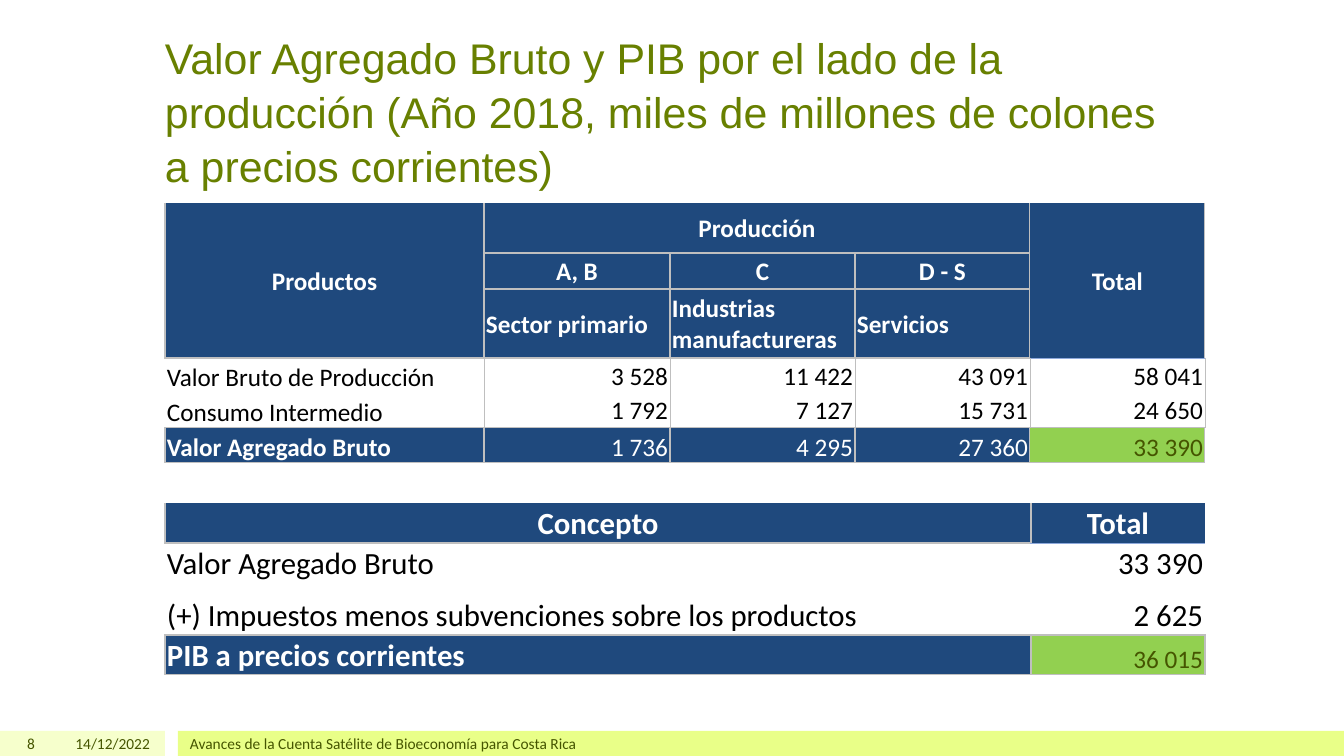
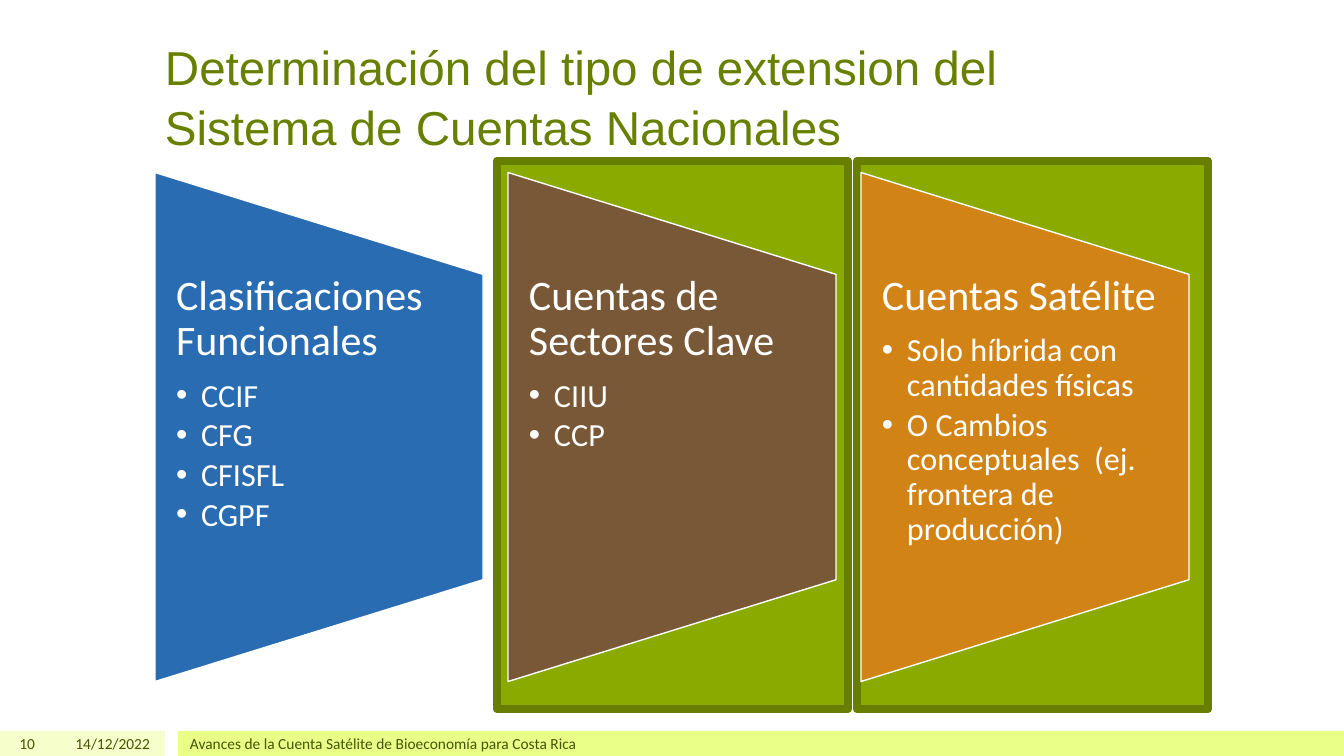
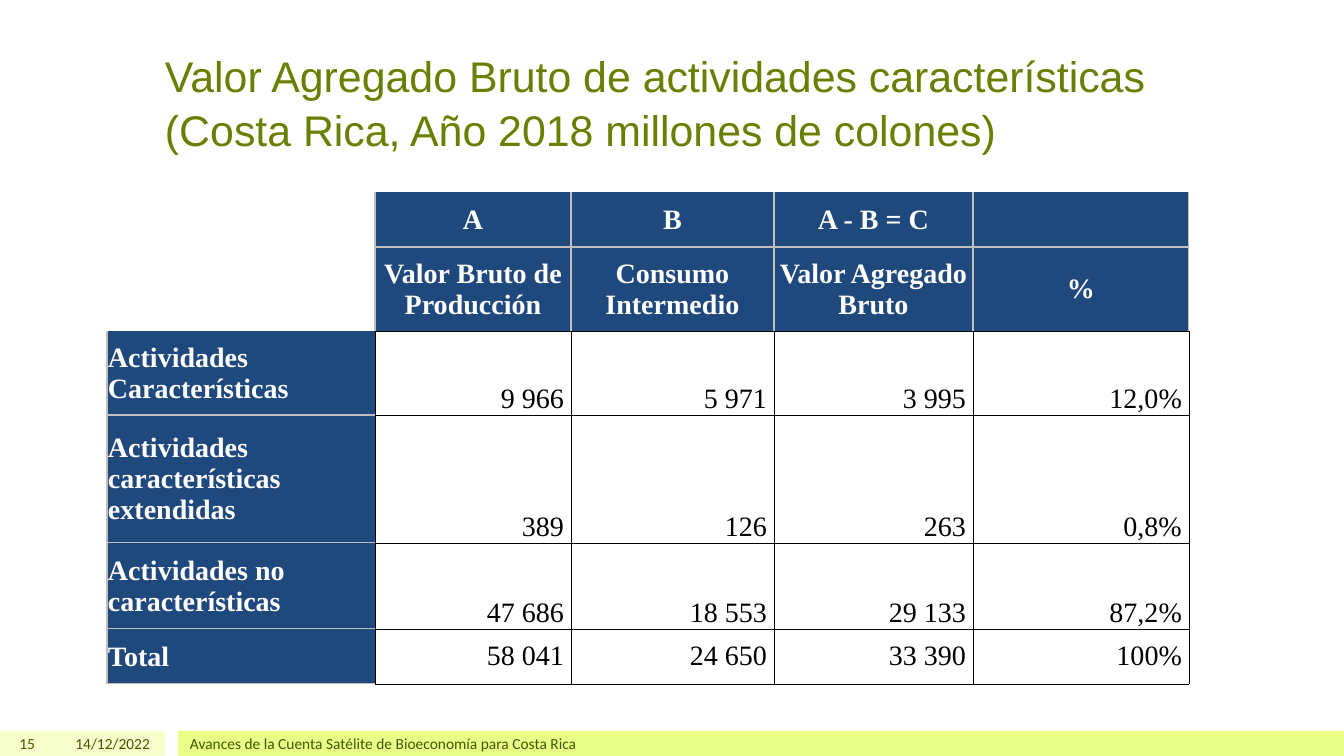
import lxml.etree
import pptx
import pptx.dml.color
import pptx.enum.shapes
import pptx.enum.text
import pptx.oxml.ns
import pptx.util

SLIDE_WIDTH, SLIDE_HEIGHT = 1344, 756
EMU_PER_PX = 12192000 / SLIDE_WIDTH
BLANK_LAYOUT = 6
PLAIN_TABLE = "{2D5ABB26-0587-4C30-8999-92F81FD0307C}"

NAVY, LIME, WHITE, BLACK = "1F497D", "92D050", "FFFFFF", "000000"
OLIVE, MOSS = "688000", "455500"
PALE_BAND, BRIGHT_BAND = "F6FFCC", "E9FF88"
FRAME_FILL, FRAME_LINE = "8BAA00", "677E00"

ALIGN = pptx.enum.text.PP_ALIGN
ANCHOR = pptx.enum.text.MSO_ANCHOR
SHAPE = pptx.enum.shapes.MSO_SHAPE

GREY_RULE, GREY_HAIR = ("BFBFBF", 1), ("BFBFBF", 0.5)
BLUE_HAIR, BLACK_HAIR = ("8EA9DB", 0.5), (BLACK, 0.5)


def rules(sides, rule):
    return dict.fromkeys(sides, rule)


CELL = {"fill": None, "color": BLACK, "bold": False, "align": ALIGN.LEFT,
        "anchor": ANCHOR.BOTTOM, "inset": (2, 2, 2, 0), "borders": {}}
HEAD = CELL | {"fill": NAVY, "color": WHITE, "bold": True, "align": ALIGN.CENTER,
               "anchor": ANCHOR.MIDDLE, "borders": rules("LRTB", GREY_RULE)}
HEAD_TOP = HEAD | {"borders": rules("LRB", GREY_RULE)}
HEAD_TOTAL = HEAD | {"borders": {"L": GREY_RULE, "B": BLUE_HAIR}}
HEAD_LEFT = HEAD | {"align": ALIGN.LEFT}
LABEL = CELL | {"borders": rules("R", GREY_HAIR)}
AMOUNT = CELL | {"fill": WHITE, "align": ALIGN.RIGHT, "anchor": ANCHOR.MIDDLE,
                 "borders": rules("LR", GREY_HAIR)}
OPEN_AMOUNT = CELL | {"align": ALIGN.RIGHT}
SUM_LABEL = HEAD_LEFT | {"anchor": ANCHOR.BOTTOM}
SUM_AMOUNT = SUM_LABEL | {"bold": False, "align": ALIGN.RIGHT}
RESULT = SUM_AMOUNT | {"fill": LIME, "color": MOSS}

CORNER = CELL | {"borders": rules("R", GREY_RULE)}
COLUMN_CODE = HEAD_TOP | {"inset": (1, 1, 1, 0)}
COLUMN_NAME = COLUMN_CODE | {"borders": rules("LRT", GREY_RULE) | {"B": BLACK_HAIR}}
ACTIVITY = COLUMN_CODE | {"align": ALIGN.LEFT,
                          "borders": rules("LTB", GREY_RULE) | {"R": BLACK_HAIR}}
FIRST_ACTIVITY = ACTIVITY | {"borders": rules("LB", GREY_RULE) | {"R": BLACK_HAIR}}
FIGURE = OPEN_AMOUNT | {"inset": (7, 0, 7, 0), "borders": rules("LRTB", BLACK_HAIR)}
TOTAL_FIGURE = FIGURE | {"anchor": ANCHOR.MIDDLE}


def px(length):
    return pptx.util.Emu(round(length * EMU_PER_PX))


def rgb(color):
    return pptx.dml.color.RGBColor.from_string(color)


def assign(target, values):
    for attribute, value in values.items():
        setattr(target, attribute, value)


def set_insets(target, inset):
    sides = ("margin_left", "margin_top", "margin_right", "margin_bottom")
    assign(target, dict(zip(sides, map(px, inset))))


def write(paragraph, text, size, color, font="Calibri", bold=False, **layout):
    run = paragraph.add_run()
    run.text = text
    assign(run.font, {"size": pptx.util.Pt(size), "name": font, "bold": bold})
    run.font.color.rgb = rgb(color)
    assign(paragraph, layout)


def add_block(slide, kind, box, fill, line=None, line_width=1, rotation=0):
    block = slide.shapes.add_shape(kind, *map(px, box))
    block.shadow.inherit = False
    block.rotation = rotation
    block.fill.solid()
    block.fill.fore_color.rgb = rgb(fill)
    if line:
        block.line.color.rgb = rgb(line)
        block.line.width = pptx.util.Pt(line_width)
    else:
        block.line.fill.background()


def add_text_frame(slide, box, anchor, inset=(10, 5, 10, 5)):
    frame = slide.shapes.add_textbox(*map(px, box)).text_frame
    assign(frame, {"word_wrap": True, "vertical_anchor": anchor})
    set_insets(frame, inset)
    return frame


def add_title(slide, text, size, top=30):
    frame = add_text_frame(slide, (155, top, 1033, 130), ANCHOR.BOTTOM)
    write(frame.paragraphs[0], text, size, OLIVE, font="Arial", line_spacing=1.05)


def add_footer(slide, number):
    top, height = 731, 25
    for left, width, color in ((0, 165, PALE_BAND), (178, 1166, BRIGHT_BAND)):
        add_block(slide, SHAPE.RECTANGLE, (left, top, width, height), color)
    entries = (
        (0, 45, str(number), ALIGN.RIGHT),
        (50, 110, "14/12/2022", ALIGN.RIGHT),
        (180, 1008, "Avances de la Cuenta Satélite de Bioeconomía para Costa Rica", ALIGN.LEFT),
    )
    for left, width, text, align in entries:
        frame = add_text_frame(slide, (left, top, width, height), ANCHOR.MIDDLE)
        write(frame.paragraphs[0], text, 11, MOSS, alignment=align)


def add_slide(deck, number):
    slide = deck.slides.add_slide(deck.slide_layouts[BLANK_LAYOUT])
    add_footer(slide, number)
    return slide


def add_borders(cell, borders):
    properties = cell._tc.get_or_add_tcPr()
    for side in "LRTB":
        if side in borders:
            color, width = borders[side]
            line = lxml.etree.SubElement(properties, pptx.oxml.ns.qn("a:ln" + side),
                                         w=str(pptx.util.Pt(width)))
            fill = lxml.etree.SubElement(line, pptx.oxml.ns.qn("a:solidFill"))
            lxml.etree.SubElement(fill, pptx.oxml.ns.qn("a:srgbClr"), val=color)


def format_cell(cell, text, style, size, font):
    add_borders(cell, style["borders"])
    if style["fill"]:
        cell.fill.solid()
        cell.fill.fore_color.rgb = rgb(style["fill"])
    else:
        cell.fill.background()
    cell.vertical_anchor = style["anchor"]
    set_insets(cell, style["inset"])
    if text:
        write(cell.text_frame.paragraphs[0], text, style.get("size", size), style["color"],
              font, style["bold"], alignment=style["align"])


def add_grid(slide, corner, widths, heights, rows, size, font="Calibri", merges=()):
    box = (*corner, sum(widths), sum(heights))
    grid = slide.shapes.add_table(len(heights), len(widths), *map(px, box)).table
    assign(grid, {"first_row": False, "horz_banding": False})
    grid._tbl.tblPr.find(pptx.oxml.ns.qn("a:tableStyleId")).text = PLAIN_TABLE
    for column, width in zip(grid.columns, widths):
        column.width = px(width)
    for row, height in zip(grid.rows, heights):
        row.height = px(height)
    for row_index, (styles, texts) in enumerate(rows):
        for column_index, (style, text) in enumerate(zip(styles, texts)):
            format_cell(grid.cell(row_index, column_index), text, style, size, font)
    for first, last in merges:
        grid.cell(*first).merge(grid.cell(*last))


def add_production_slide(deck):
    slide = add_slide(deck, 8)
    add_title(slide, "Valor Agregado Bruto y PIB por el lado de la producción "
              "(Año 2018, miles de millones de colones a precios corrientes)", 30.6, top=66)
    production = [
        ([HEAD_TOP] * 4 + [HEAD_TOTAL], ("Productos", "Producción", "", "", "Total")),
        ([HEAD_TOP] + [HEAD] * 3 + [HEAD_TOTAL], ("", "A, B", "C", "D - S", "")),
        ([HEAD_TOP] + [HEAD_LEFT] * 3 + [HEAD_TOTAL],
         ("", "Sector primario", "Industrias manufactureras", "Servicios", "")),
        ([LABEL] + [AMOUNT] * 4,
         ("Valor Bruto de Producción", "3 528", "11 422", "43 091", "58 041")),
        ([LABEL] + [AMOUNT] * 4, ("Consumo Intermedio", "1 792", "7 127", "15 731", "24 650")),
        ([SUM_LABEL] + [SUM_AMOUNT] * 3 + [RESULT],
         ("Valor Agregado Bruto", "1 736", "4 295", "27 360", "33 390")),
    ]
    add_grid(slide, (165, 203), (319, 186, 185, 175, 175), (50, 36, 69, 35, 35, 35),
             production, 18,
             merges=(((0, 0), (2, 0)), ((0, 1), (0, 3)), ((0, 4), (2, 4))))
    gdp = [
        ([HEAD_TOP, HEAD_TOTAL], ("Concepto", "Total")),
        ([CELL, OPEN_AMOUNT], ("Valor Agregado Bruto", "33 390")),
        ([CELL, OPEN_AMOUNT], ("(+) Impuestos menos subvenciones sobre los productos", "2 625")),
        ([SUM_LABEL, RESULT | {"size": 18}], ("PIB a precios corrientes", "36 015")),
    ]
    add_grid(slide, (165, 503), (866, 174), (40, 40, 52, 40), gdp, 22)


def add_bullet(paragraph):
    properties = paragraph._p.get_or_add_pPr()
    assign_indent = {"marL": px(25), "indent": -px(25)}
    for name, value in assign_indent.items():
        properties.set(name, str(value))
    lxml.etree.SubElement(properties, pptx.oxml.ns.qn("a:buFont"), typeface="Arial")
    lxml.etree.SubElement(properties, pptx.oxml.ns.qn("a:buChar"), char="•")


def add_extension_panel(slide, left, color, heading, items):
    width, height, middle = 328, 509, 427
    outline = (left + (width - height) / 2, middle - width / 2, height, width)
    add_block(slide, SHAPE.FLOWCHART_MANUAL_OPERATION, outline, color, WHITE, rotation=270)
    frame = add_text_frame(slide, (left, 274, width, 305), ANCHOR.TOP, (21, 0, 21, 0))
    write(frame.paragraphs[0], heading, 30, WHITE, line_spacing=0.9,
          space_after=pptx.util.Pt(10.5))
    for item in items:
        paragraph = frame.add_paragraph()
        write(paragraph, item, 23, WHITE, line_spacing=0.9, space_after=pptx.util.Pt(3.5))
        add_bullet(paragraph)


def add_extension_slide(deck):
    slide = add_slide(deck, 10)
    for left in (857, 497):
        add_block(slide, SHAPE.RECTANGLE, (left, 161, 351, 548), FRAME_FILL, FRAME_LINE, 6)
    add_title(slide, "Determinación del tipo de extension del Sistema de Cuentas Nacionales", 34)
    panels = (
        ("2A6CB2", "Clasificaciones Funcionales", ("CCIF", "CFG", "CFISFL", "CGPF")),
        ("795837", "Cuentas de Sectores Clave", ("CIIU", "CCP")),
        ("D18316", "Cuentas Satélite",
         ("Solo híbrida con cantidades físicas",
          "O Cambios conceptuales  (ej. frontera de producción)")),
    )
    for index, panel in enumerate(panels):
        add_extension_panel(slide, 155 + 353 * index, *panel)


def add_activities_slide(deck):
    slide = add_slide(deck, 15)
    add_title(slide, "Valor Agregado Bruto de actividades características "
              "(Costa Rica, Año 2018 millones de colones)", 30.6)
    activities = [
        ([CORNER] + [COLUMN_CODE] * 4, ("", "A", "B", "A - B = C", "")),
        ([CORNER] + [COLUMN_NAME] * 4,
         ("", "Valor Bruto de Producción", "Consumo Intermedio", "Valor Agregado Bruto", "%")),
        ([FIRST_ACTIVITY] + [FIGURE] * 4,
         ("Actividades Características", "9 966", "5 971", "3 995", "12,0%")),
        ([ACTIVITY] + [FIGURE] * 4,
         ("Actividades características extendidas", "389", "126", "263", "0,8%")),
        ([ACTIVITY] + [FIGURE] * 4,
         ("Actividades no características", "47 686", "18 553", "29 133", "87,2%")),
        ([ACTIVITY] + [TOTAL_FIGURE] * 4, ("Total", "58 041", "24 650", "33 390", "100%")),
    ]
    add_grid(slide, (107, 192), (268, 196, 203, 199, 216), (55, 84, 84, 128, 86, 55),
             activities, 20, "Times New Roman")


def main():
    deck = pptx.Presentation()
    assign(deck, {"slide_width": px(SLIDE_WIDTH), "slide_height": px(SLIDE_HEIGHT)})
    add_production_slide(deck)
    add_extension_slide(deck)
    add_activities_slide(deck)
    deck.save("out.pptx")


if __name__ == "__main__":
    main()
